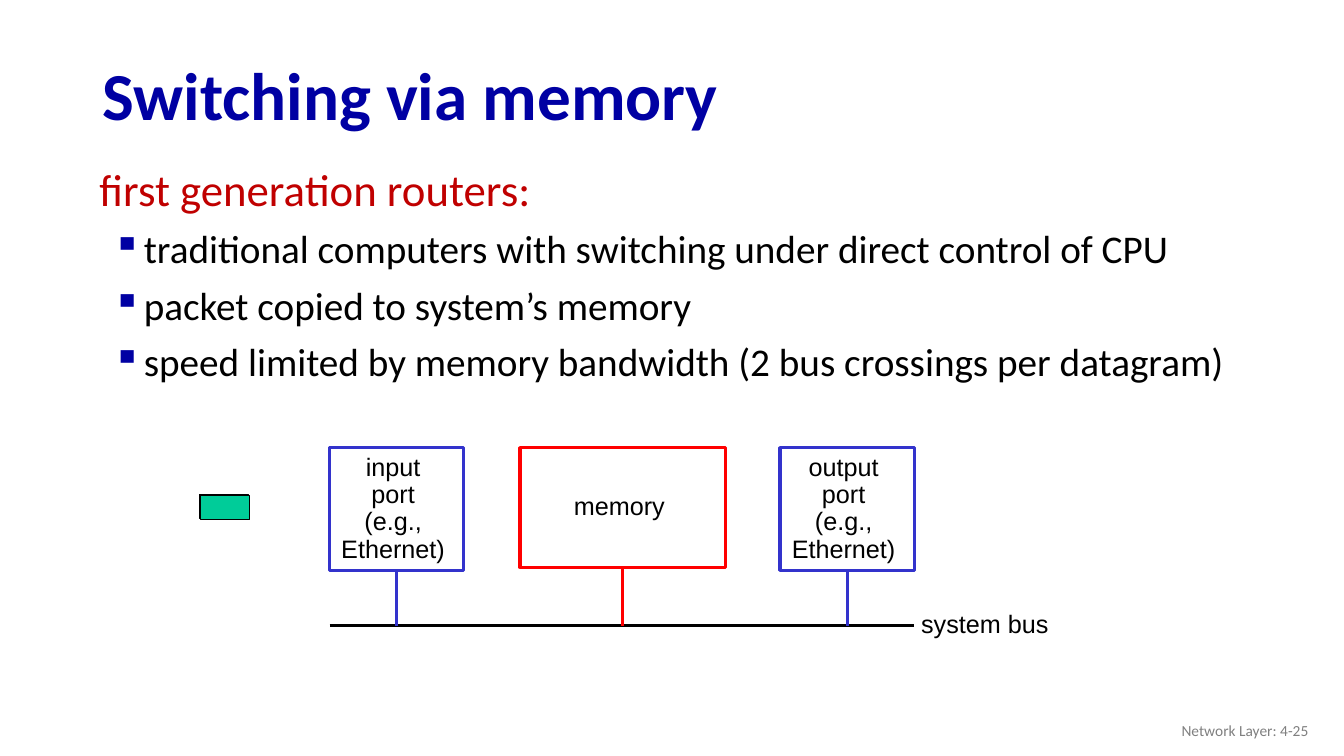
from lxml import etree
from pptx import Presentation
from pptx.dml.color import RGBColor
from pptx.enum.shapes import MSO_CONNECTOR, MSO_SHAPE
from pptx.enum.text import MSO_ANCHOR, PP_ALIGN
from pptx.oxml.ns import qn
from pptx.util import Pt

RECTANGLE = MSO_SHAPE.RECTANGLE
STRAIGHT = MSO_CONNECTOR.STRAIGHT
TOP, MIDDLE = MSO_ANCHOR.TOP, MSO_ANCHOR.MIDDLE
LEFT, CENTER, RIGHT = PP_ALIGN.LEFT, PP_ALIGN.CENTER, PP_ALIGN.RIGHT
BOTTOM_SIDE = 2

COLORS = {
    "navy": "0000A3", "crimson": "C00000", "black": "000000", "white": "FFFFFF",
    "blue": "3333CC", "red": "FF0000", "green": "00CC99", "gray": "808080",
}


class SlideBuilder:
    """Draws styled elements on one slide, with lengths in points."""

    def __init__(self, slide):
        self.shapes = slide.shapes
        self.heading_font = "Calibri"
        self.diagram_font = "Arial"
        self.diagram_size = 18
        self.line_width = 2.25

    def color(self, name):
        return RGBColor.from_string(COLORS[name])

    def add_run(self, paragraph, text, size, color, font, bold=False):
        run = paragraph.add_run()
        run.text = text
        run.font.size = Pt(size)
        run.font.name = font
        run.font.bold = bold
        run.font.color.rgb = self.color(color)

    def bullet(self, paragraph, margin, indent, color):
        properties = paragraph._p.get_or_add_pPr()
        properties.set("marL", str(Pt(margin)))
        properties.set("indent", str(Pt(-indent)))
        bullet_color = etree.SubElement(properties, qn("a:buClr"))
        etree.SubElement(bullet_color, qn("a:srgbClr")).set("val", COLORS[color])
        etree.SubElement(properties, qn("a:buChar")).set("char", "▪")

    def text(self, x, y, width, height, text, size, color, font=None,
             bold=False, align=LEFT, anchor=TOP, spacing=1.0, wrap=True):
        frame = self.shapes.add_textbox(Pt(x), Pt(y), Pt(width), Pt(height)).text_frame
        frame.word_wrap = wrap
        frame.vertical_anchor = anchor
        paragraph = frame.paragraphs[0]
        paragraph.alignment = align
        paragraph.line_spacing = spacing
        self.add_run(paragraph, text, size, color, font or self.heading_font, bold)
        return frame

    def bullets(self, frame, items, size):
        for item in items:
            paragraph = frame.add_paragraph()
            paragraph.line_spacing = 0.9
            paragraph.space_before = Pt(10)
            self.bullet(paragraph, 31.7, 22.3, "navy")
            self.add_run(paragraph, item, size, "black", self.heading_font)

    def box(self, x, y, width, height, fill, line, line_width=None, lines=()):
        box = self.shapes.add_shape(RECTANGLE, Pt(x), Pt(y), Pt(width), Pt(height))
        box.shadow.inherit = False
        box.fill.solid()
        box.fill.fore_color.rgb = self.color(fill)
        box.line.color.rgb = self.color(line)
        box.line.width = Pt(line_width or self.line_width)
        frame = box.text_frame
        frame.word_wrap = True
        frame.vertical_anchor = MIDDLE
        frame.margin_left, frame.margin_right = 0, Pt(5)
        for index, line_text in enumerate(lines):
            paragraph = frame.add_paragraph() if index else frame.paragraphs[0]
            paragraph.alignment = CENTER
            paragraph.line_spacing = 0.9
            self.add_run(paragraph, line_text, self.diagram_size, "black", self.diagram_font)
        return box

    def line(self, x1, y1, x2, y2, color, start=None):
        line = self.shapes.add_connector(STRAIGHT, Pt(x1), Pt(y1), Pt(x2), Pt(y2))
        line.line.color.rgb = self.color(color)
        line.line.width = Pt(self.line_width)
        etree.SubElement(line._element.spPr, qn("a:effectLst"))
        if start is not None:
            line.begin_connect(start, BOTTOM_SIDE)


def main():
    presentation = Presentation()
    presentation.slide_width, presentation.slide_height = Pt(960), Pt(540)
    page = SlideBuilder(presentation.slides.add_slide(presentation.slide_layouts[6]))

    body = page.text(64, 116, 888.5, 218, "first generation routers:", 32, "crimson",
                     spacing=0.9)
    page.bullets(body, [
        "traditional computers with switching under direct control of CPU",
        "packet copied to system’s memory",
        "speed limited by memory bandwidth (2 bus crossings per datagram)",
    ], 28)
    page.text(66.2, 35.3, 828, 70.6, "Switching via memory", 48, "navy",
              bold=True, anchor=MIDDLE, spacing=0.9)

    unit_top, bus_y, bus_left, bus_right = 319.7, 447.1, 235.4, 653
    port_width, port_height = 95.8, 87.8
    port_type = ["port", "(e.g.,", "Ethernet)"]
    units = [
        (bus_left, port_width, port_height, "blue", ["input"] + port_type),
        (371.5, 146.9, 85.7, "red", ["memory"]),
        (bus_right - port_width, port_width, port_height, "blue", ["output"] + port_type),
    ]
    page.line(bus_left, bus_y, bus_right, bus_y, "black")
    for left, width, height, color, label in units:
        unit = page.box(left, unit_top, width, height, "white", color, lines=label)
        center = left + width / 2
        page.line(center, unit_top + height, center, bus_y, color, start=unit)
    page.text(650.9, 431.3, 105.8, 28.8, "system bus", page.diagram_size, "black",
              font=page.diagram_font, wrap=False)

    for offset in (0, 0.7):
        page.box(142.6 + offset, 353.5 + offset, 35, 17, "green", "black", line_width=0.75)

    page.text(725.8, 507.6, 216, 28.8, "Network Layer: 4-25", 11, "gray",
              align=RIGHT, anchor=MIDDLE)
    presentation.save("out.pptx")


if __name__ == "__main__":
    main()
